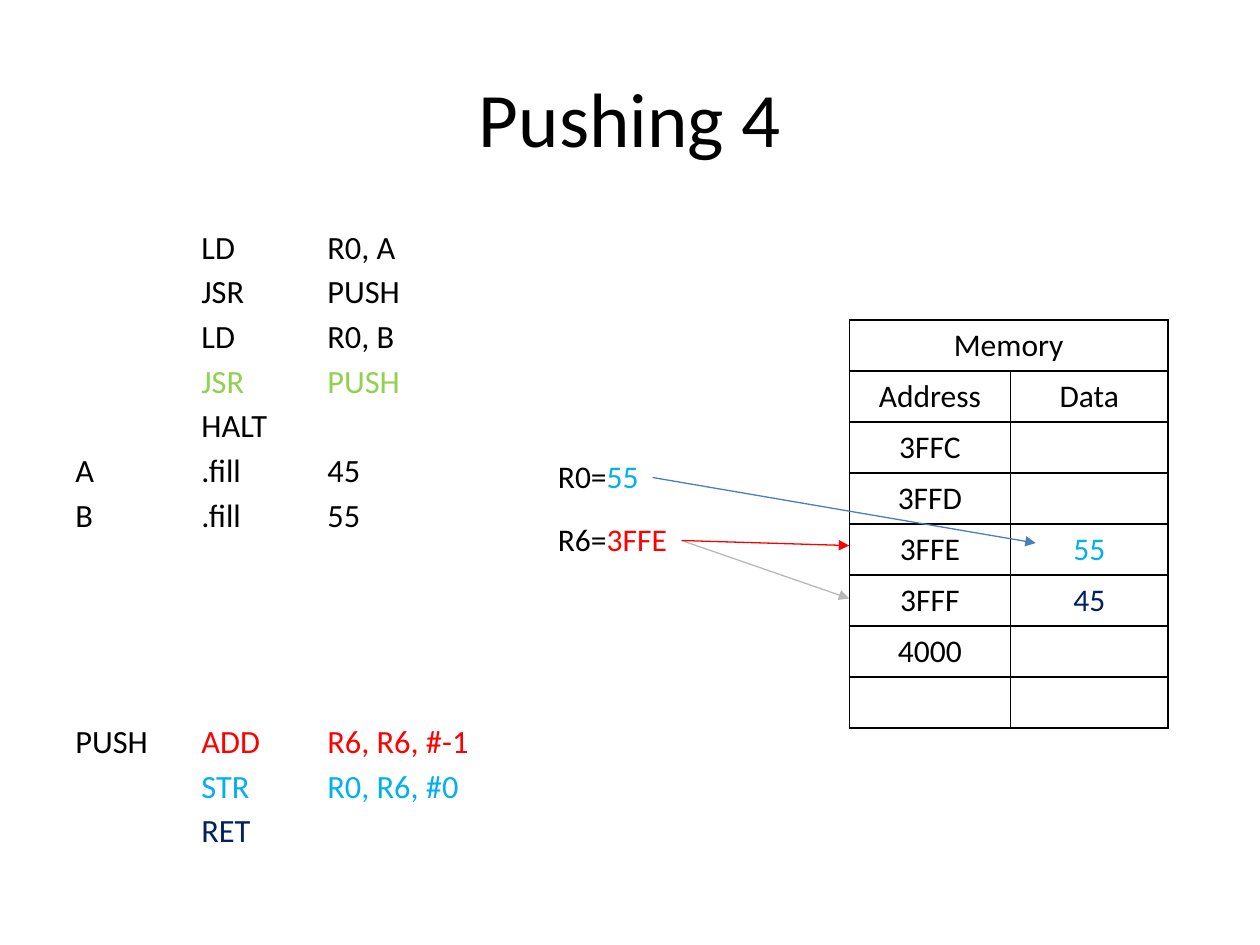
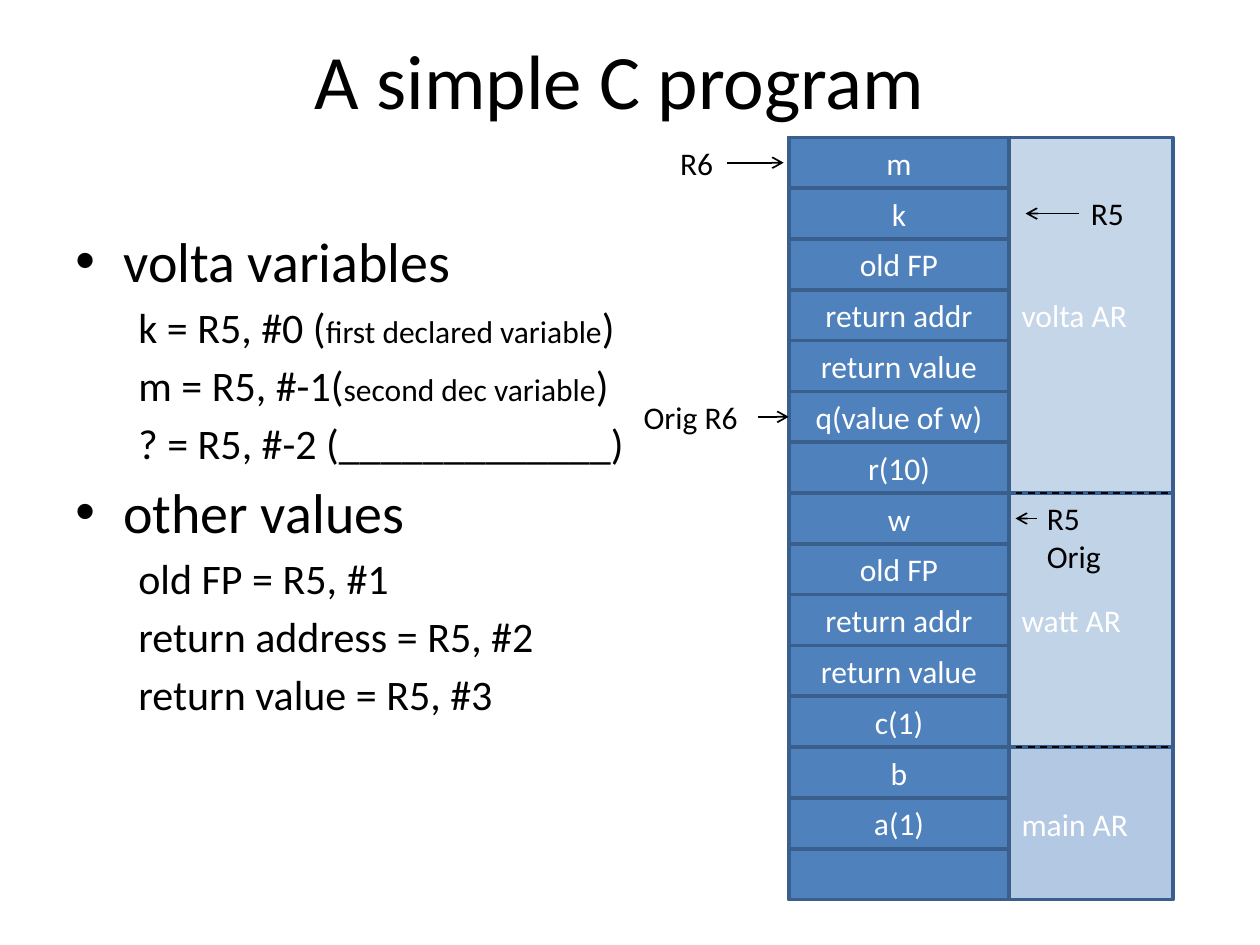
import pptx
import pptx.dml.color
import pptx.enum.dml
import pptx.enum.shapes
import pptx.enum.text
import pptx.oxml.ns
import pptx.oxml.xmlchemy
import pptx.util
from lxml import etree
from pptx.util import Inches

# Shared look
FONT = "Calibri"
TITLE_SIZE, TEXT_SIZE = 44, 18
BLACK, WHITE = "000000", "FFFFFF"
RED, CYAN, GREEN, NAVY = "FF0000", "00B0F0", "92D050", "002060"
STACK_BLUE, STACK_EDGE, STORE_BLUE = "4F81BD", "3A5F8C", "4B7EBC"
SPACE_RATIO = 0.18

LEFT = pptx.enum.text.PP_ALIGN.LEFT
CENTER = pptx.enum.text.PP_ALIGN.CENTER
TOP = pptx.enum.text.MSO_ANCHOR.TOP
MIDDLE = pptx.enum.text.MSO_ANCHOR.MIDDLE

# Label, operation with operands, colour
CODE = [
    ("", "LD\tR0, A", BLACK),
    ("", "JSR\tPUSH", BLACK),
    ("", "LD\tR0, B", BLACK),
    ("", "JSR\tPUSH", GREEN),
    ("", "HALT", BLACK),
    ("A", ".fill\t45", BLACK),
    ("B", ".fill\t55", BLACK),
    ("PUSH", "ADD\tR6, R6, #-1", RED),
    ("", "STR\tR0, R6, #0", CYAN),
    ("", "RET", NAVY),
]
CODE_SIZE = 18.5
SUBROUTINE_GAP = 107

# Address, data, colour of the data
MEMORY = [
    ("Memory", "", BLACK),
    ("Address", "Data", BLACK),
    ("3FFC", "", BLACK),
    ("3FFD", "", BLACK),
    ("3FFE", "55", CYAN),
    ("3FFF", "45", NAVY),
    ("4000", "", BLACK),
    ("", "", BLACK),
]

STACK = ["m", "k", "old FP", "return addr", "return value", "q(value of w)",
         "r(10)", "w", "old FP", "return addr", "return value", "c(1)",
         "b", "a(1)", ""]
STACK_LEFT, STACK_TOP, STACK_WIDTH = 6.26, 1.09, 1.75
SLOT = 6.05 / len(STACK)
RECORD_LEFT, RECORD_WIDTH = STACK_LEFT + STACK_WIDTH, 1.3
# Activation record, number of slots, opacity in percent
RECORDS = [("volta AR", 7, 32), ("watt AR", 5, 35), ("main AR", 3, 43)]

# Heading, lines below it; each line is a list of (text, size)
OFFSETS = [
    ("volta variables", [
        [("k = R5, #0 (", 24), ("first declared variable", 18), (")", 24)],
        [("m = R5, #-1(", 24), ("second dec variable", 18), (")", 24)],
        [("? = R5, #-2 (_____________)", 24)],
    ]),
    ("other values", [
        [("old FP = R5, #1", 24)],
        [("return address = R5, #2", 24)],
        [("return value = R5, #3", 24)],
    ]),
]


def rgb(hex_colour):
    return pptx.dml.color.RGBColor.from_string(hex_colour)


def add_xml(parent, tag, **attributes):
    return etree.SubElement(parent, pptx.oxml.ns.qn(tag), attributes)


def set_opacity(shape, percent):
    """Applies to the first colour: a shape's fill or a connector's line."""
    colour = next(shape._element.spPr.iter(pptx.oxml.ns.qn("a:srgbClr")))
    add_xml(colour, "a:alpha", val=str(percent * 1000))


def write(paragraph, runs, size=TEXT_SIZE, colour=BLACK, align=LEFT):
    """Fill a paragraph with (text, colour, size) runs; None means the same."""
    paragraph.alignment = align
    paragraph.font.name = FONT
    paragraph.font.size = pptx.util.Pt(size)
    paragraph.font.color.rgb = rgb(colour)
    for text, run_colour, run_size in runs:
        run = paragraph.add_run()
        run.text = text
        if run_colour and run_colour != colour:
            run.font.color.rgb = rgb(run_colour)
        if run_size and run_size != size:
            run.font.size = pptx.util.Pt(run_size)


def add_frame(slide, left, top, width, height, anchor=TOP, wrap=True):
    box = slide.shapes.add_textbox(Inches(left), Inches(top),
                                   Inches(width), Inches(height))
    frame = box.text_frame
    frame.word_wrap = wrap
    frame.vertical_anchor = anchor
    return frame


def next_paragraph(frame):
    first = frame.paragraphs[0]
    return frame.add_paragraph() if first.runs else first


def add_title(slide, text, left, top):
    frame = add_frame(slide, left, top, 9, 1.25, MIDDLE)
    write(frame.paragraphs[0], [(text, None, None)], TITLE_SIZE, align=CENTER)


def add_label(slide, left, top, width, text, value="", value_colour=BLACK,
              wrap=False):
    frame = add_frame(slide, left, top, width, 0.4, wrap=wrap)
    runs = [(text, None, None)]
    if value:
        runs.append((value, value_colour, None))
    write(frame.paragraphs[0], runs)


def add_line(slide, start, end, colour=BLACK, width=1.0, head=None):
    line = slide.shapes.add_connector(
        pptx.enum.shapes.MSO_CONNECTOR.STRAIGHT,
        *(Inches(value) for value in (*start, *end)))
    line.line.color.rgb = rgb(colour)
    line.line.width = pptx.util.Pt(width)
    if head:
        add_xml(line.line._get_or_add_ln(), "a:tailEnd", type=head)
    add_xml(line._element.spPr, "a:effectLst")
    return line


def add_block(slide, left, top, width, height, text="", fill=STACK_BLUE,
              edge=STACK_EDGE, align=CENTER):
    block = slide.shapes.add_shape(
        pptx.enum.shapes.MSO_SHAPE.RECTANGLE,
        *(Inches(value) for value in (left, top, width, height)))
    block.shadow.inherit = False
    if fill:
        block.fill.solid()
        block.fill.fore_color.rgb = rgb(fill)
    else:
        block.fill.background()
    block.line.color.rgb = rgb(edge)
    block.line.width = pptx.util.Pt(2)
    if text:
        block.text_frame.vertical_anchor = MIDDLE
        write(block.text_frame.paragraphs[0], [(text, None, None)],
              colour=WHITE, align=align)
    return block


def add_code(slide):
    frame = add_frame(slide, 0.5, 1.75, 3.42, 4.95)
    for label, instruction, colour in CODE:
        paragraph = next_paragraph(frame)
        tabs = add_xml(paragraph._p.get_or_add_pPr(), "a:tabLst")
        for column in (1, 2):
            add_xml(tabs, "a:tab", pos=str(Inches(column)), algn="l")
        gap = SUBROUTINE_GAP if label == "PUSH" else CODE_SIZE * SPACE_RATIO
        paragraph.space_before = pptx.util.Pt(gap)
        write(paragraph, [(label + "\t", None, None),
                          (instruction, colour, None)], CODE_SIZE)


def add_cell_borders(cell):
    properties = cell._tc.get_or_add_tcPr()
    for side in ("a:lnL", "a:lnR", "a:lnT", "a:lnB"):
        border = add_xml(properties, side, w=str(pptx.util.Pt(1)))
        add_xml(add_xml(border, "a:solidFill"), "a:srgbClr", val=BLACK)


def add_memory(slide):
    table = slide.shapes.add_table(
        len(MEMORY), 2, Inches(6.74), Inches(2.54),
        Inches(2.53), Inches(3.24)).table
    table.first_row = table.horz_banding = False
    for column, width in zip(table.columns, (1.28, 1.25)):
        column.width = Inches(width)
    for row, (address, data, data_colour) in enumerate(MEMORY):
        for column, (text, colour) in enumerate(
                ((address, BLACK), (data, data_colour))):
            cell = table.cell(row, column)
            add_cell_borders(cell)
            cell.fill.background()
            runs = [(text, None, None)] if text else []
            write(cell.text_frame.paragraphs[0], runs, colour=colour,
                  align=CENTER)
    table.cell(0, 0).merge(table.cell(0, 1))


def add_offsets(slide):
    frame = add_frame(slide, 0.5, 1.75, 7, 4.95)

    def add_entry(runs, size, margin, indent, bullet=False):
        paragraph = next_paragraph(frame)
        properties = paragraph._p.get_or_add_pPr()
        properties.set("marL", str(Inches(margin)))
        properties.set("indent", str(Inches(indent)))
        if bullet:
            add_xml(properties, "a:buFont", typeface="Arial")
            add_xml(properties, "a:buChar", char="•")
        paragraph.space_before = pptx.util.Pt(size * SPACE_RATIO)
        write(paragraph, runs, size)

    for heading, lines in OFFSETS:
        add_entry([(heading, None, None)], 32, 0.38, -0.38, bullet=True)
        for line in lines:
            add_entry([(text, None, size) for text, size in line], 24, 0.5, 0)


def add_stack(slide):
    # Activation records beside the stack, divided by dashed lines
    top = STACK_TOP
    boundaries = []
    for name, slots, opacity in RECORDS:
        record = add_block(slide, RECORD_LEFT, top, RECORD_WIDTH,
                           slots * SLOT, name, align=LEFT)
        set_opacity(record, opacity)
        top += slots * SLOT
        boundaries.append(top)
    for boundary in boundaries[:-1]:
        divider = add_line(slide, (RECORD_LEFT + 0.05, boundary),
                           (RECORD_LEFT + RECORD_WIDTH, boundary))
        divider.line.dash_style = pptx.enum.dml.MSO_LINE.DASH

    # Stack slots inside a frame
    add_block(slide, STACK_LEFT, STACK_TOP, STACK_WIDTH,
              (len(STACK) - 1) * SLOT, fill=None, edge=BLACK)
    for index, content in reversed(list(enumerate(STACK))):
        add_block(slide, STACK_LEFT, STACK_TOP + index * SLOT,
                  STACK_WIDTH, SLOT, content)


def build_pushing(slide):
    add_title(slide, "Pushing 4", 0.5, 0.3)
    add_code(slide)
    add_memory(slide)
    add_label(slide, 4.33, 4.08, 1.07, "R6=", "3FFE", RED)
    add_label(slide, 4.33, 3.58, 0.85, "R0=", "55", CYAN)
    stack_pointer = (5.41, 4.29)
    old_pointer = add_line(slide, stack_pointer, (6.74, 4.75), BLACK, 0.75,
                           "triangle")
    set_opacity(old_pointer, 27)
    add_line(slide, stack_pointer, (6.74, 4.33), RED, 0.75, "triangle")
    add_line(slide, (5.18, 3.79), (8.22, 4.31), STORE_BLUE, 0.75, "triangle")


def build_c_program(slide):
    add_title(slide, "A simple C program", 0.42, 0)
    add_stack(slide)
    # Register pointers: label, left, width, wrap, slot, arrow start and end
    for name, left, width, wrap, slot, start, end in (
            ("R6", 5.3, 0.47, False, 0, 5.77, 6.22),
            ("R5", 8.56, 0.47, False, 1, 8.56, 8.14),
            ("Orig R6", 5.01, 1.01, True, 5, 6.02, 6.26),
            ("R5 Orig", 8.21, 0.82, True, 7, 8.23, 8.06)):
        top = STACK_TOP + slot * SLOT
        add_label(slide, left, top, width, name, wrap=wrap)
        add_line(slide, (start, top + SLOT / 2), (end, top + SLOT / 2),
                 head="arrow")
    add_offsets(slide)


def main():
    presentation = pptx.Presentation()
    presentation.slide_width = Inches(10)
    presentation.slide_height = Inches(7.5)
    for build in (build_pushing, build_c_program):
        build(presentation.slides.add_slide(presentation.slide_layouts[6]))
    presentation.save("out.pptx")


if __name__ == "__main__":
    main()
